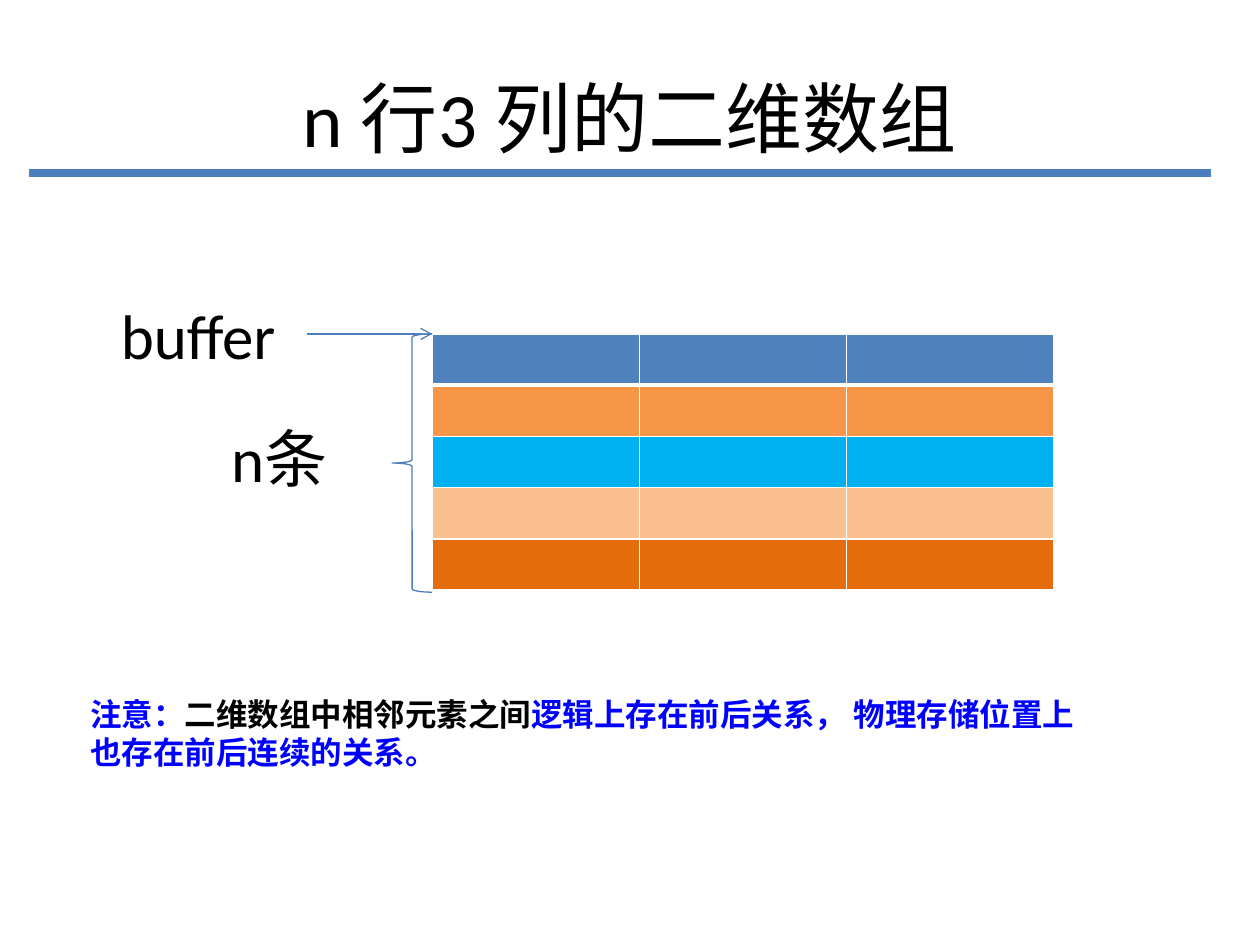
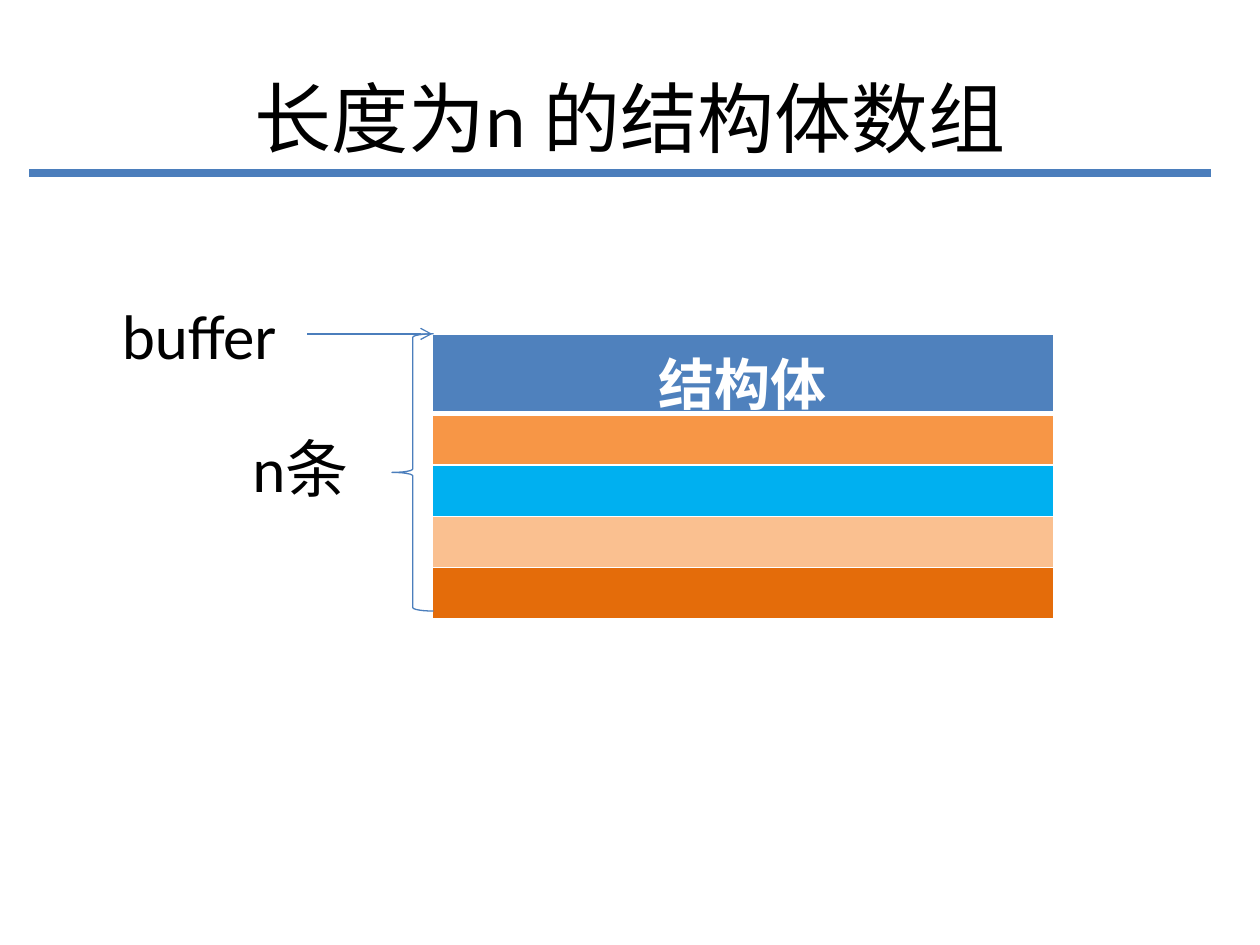
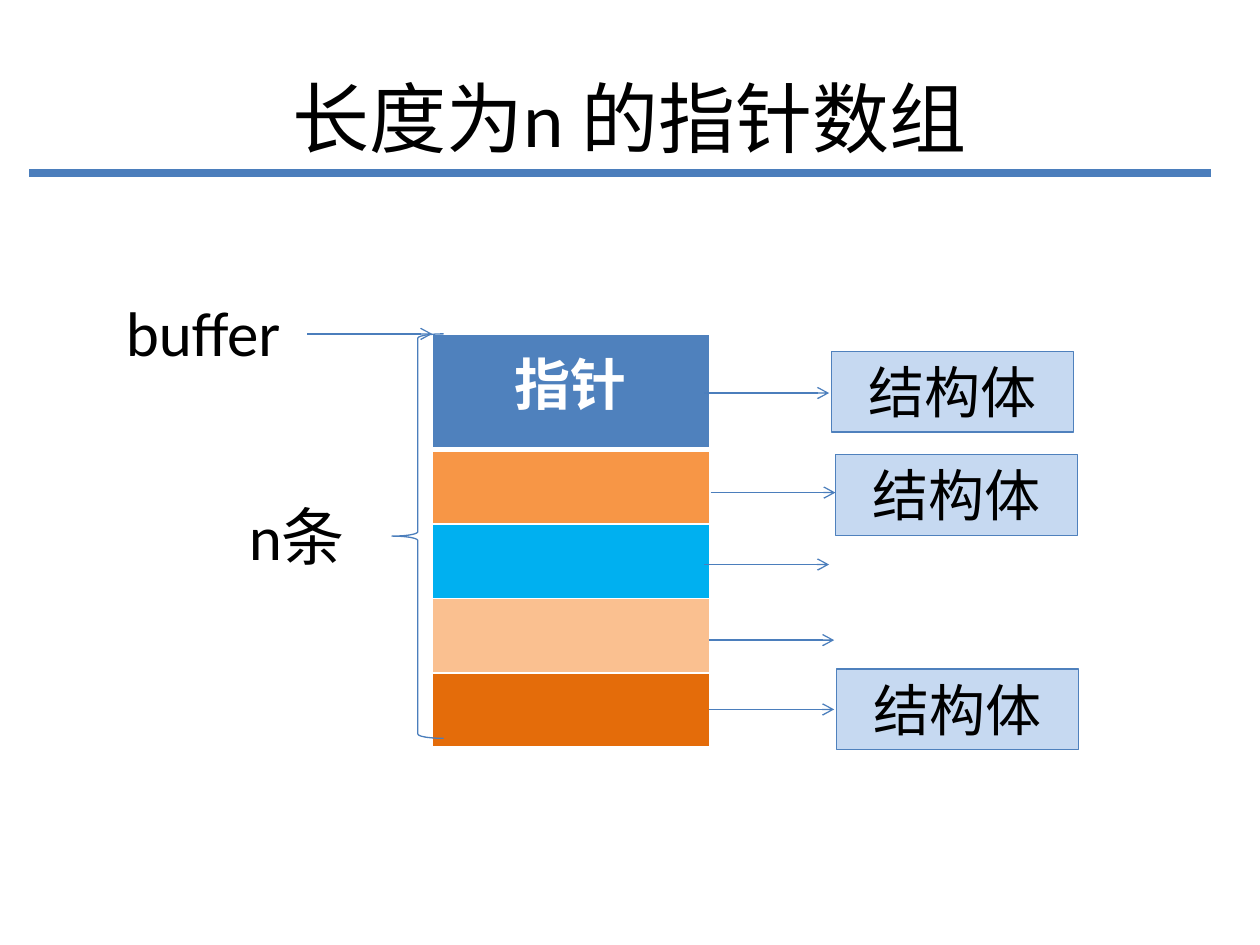
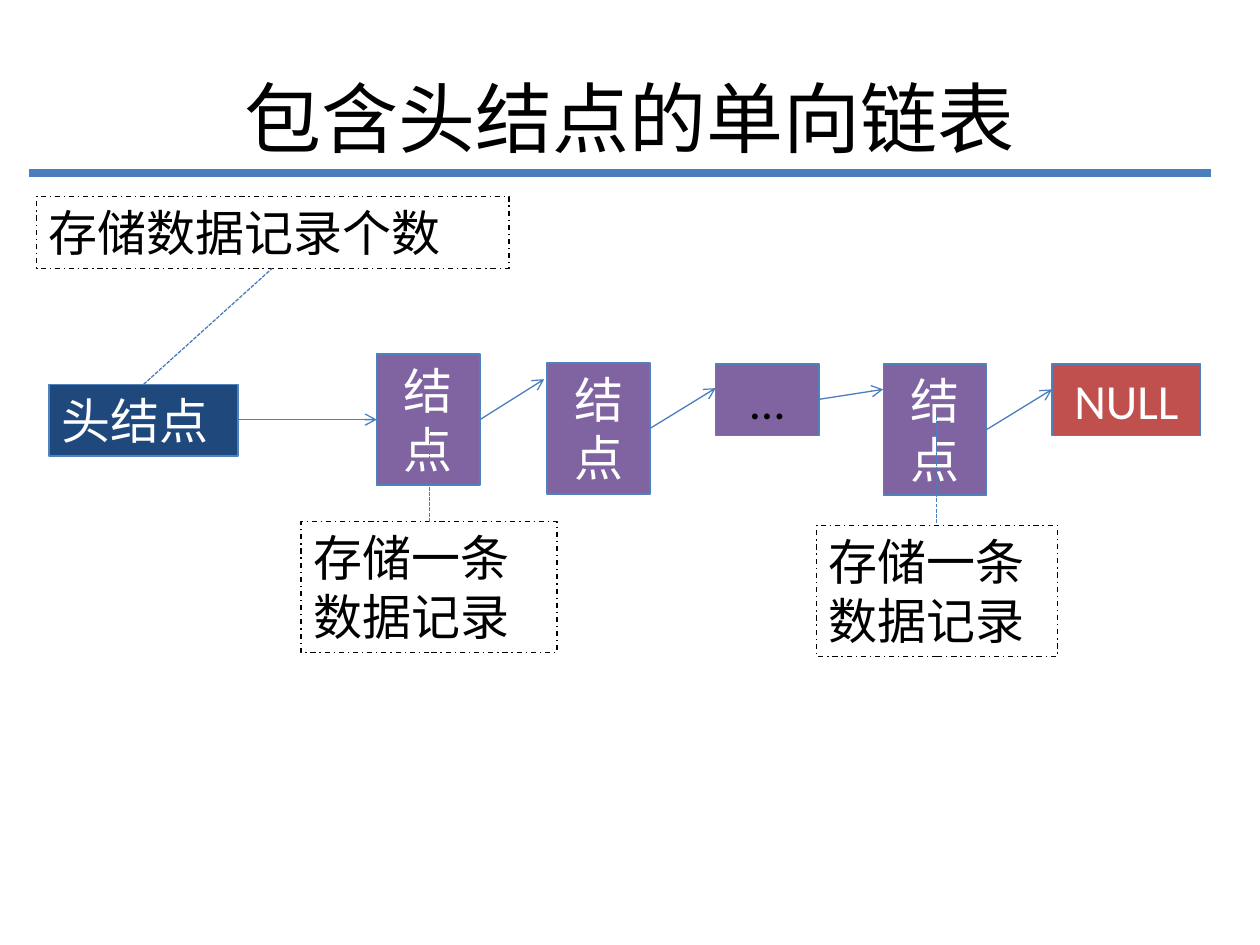
from lxml import etree
from pptx import Presentation
from pptx.dml.color import RGBColor
from pptx.enum import dml, shapes, text
from pptx.oxml import ns
from pptx.util import Pt

BLACK = RGBColor(0x00, 0x00, 0x00)
WHITE = RGBColor(0xFF, 0xFF, 0xFF)
NOTE_BLUE = RGBColor(0x00, 0x00, 0xFF)
LINE_BLUE = RGBColor(0x4B, 0x7E, 0xBC)
HEADER_BLUE = RGBColor(0x4F, 0x81, 0xBD)
PALE_BLUE = RGBColor(0xC6, 0xD9, 0xF1)
NAVY = RGBColor(0x1F, 0x49, 0x7D)
PURPLE = RGBColor(0x80, 0x64, 0xA2)
RED = RGBColor(0xC0, 0x50, 0x4D)
ORANGE = RGBColor(0xF7, 0x96, 0x46)
SKY = RGBColor(0x00, 0xB0, 0xF0)
PEACH = RGBColor(0xFA, 0xC0, 0x90)
RUST = RGBColor(0xE4, 0x6C, 0x0A)

FONT = "Calibri"
LEFT, CENTER = text.PP_ALIGN.LEFT, text.PP_ALIGN.CENTER
ROW_COLORS = [HEADER_BLUE, ORANGE, SKY, PEACH, RUST]
TABLE_LEFT, TABLE_TOP = 247, 190.8
BRACE_LEFT = 224
POINTER_LENGTH = 71.3

ARRAYS = [
    dict(title="n 行3 列的二维数组", header="", columns=3, width=354.96, rows=[29.3] * 5,
         buffer=(62, 165.6, 122.4, 51), count=(106.6, 236.2, 105.8, 51), brace=(23, 147.6)),
    dict(title="长度为n 的结构体数组", header="结构体", columns=1, width=354.96, rows=[29.3] * 5,
         buffer=(62.6, 165.6, 112.3, 51), count=(118.8, 241.9, 105.8, 51), brace=(23.8, 158.4)),
    dict(title="长度为n 的指针数组", header="指针", columns=1, width=158.4, rows=[66.2] + [42.5] * 4,
         buffer=(64.8, 164.2, 105.8, 51), count=(113.8, 280.8, 111.6, 51), brace=(29.5, 231.1)),
]
NOTE = [
    ("注意：", NOTE_BLUE),
    ("二维数组中相邻元素之间", BLACK),
    ("逻辑上存在前后关系， 物理存储位置上也存在前后连续的关系。", NOTE_BLUE),
]
POINTERS = [(402.5, 224.6), (406.1, 281.5), (402.5, 322.6), (405.4, 365.8), (405.4, 405.4)]
STRUCTURES = [(475.2, 200.9), (477.4, 259.9), (478.1, 382.3)]

LIST_TITLE = "包含头结点的单向链表"
NODE_WIDTH = 59
NODES = [
    ("结点", 215.3, 202.3, 74.9, WHITE, (274.3, 239.8, 311, 216.7)),
    ("结点", 312.5, 207.4, 74.9, WHITE, (371.5, 244.8, 409, 221.8)),
    ("…", 409, 208.1, 41, BLACK, (468, 228.2, 504.7, 222.5)),
    ("结点", 504.7, 208.1, 74.9, WHITE, (563.8, 245.5, 601.2, 222.5)),
]
ENDS = [
    ("NULL", (601.2, 208.1, 85, 41), RED, CENTER),
    ("头结点", (28.1, 219.6, 108, 41), NAVY, LEFT),
]
CALLOUTS = [
    ("存储数据记录个数", (20.9, 112.3, 270, 41), (82.1, 219.6, 155.5, 153.4)),
    ("存储一条数据记录", (172.1, 298.1, 146.2, 74.9), (245.5, 298.1, 245.5, 236.2)),
    ("存储一条数据记录", (466.6, 300.2, 137.5, 74.9), (535, 298.8, 535, 237.6)),
]


def points(values):
    return [Pt(value) for value in values]


def style_run(run, size, color, bold=False):
    run.font.name = FONT
    run.font.size = Pt(size)
    run.font.color.rgb = color
    run.font.bold = bold


def write(shape, runs, size, align=LEFT, bold=False, grow=True):
    frame = shape.text_frame
    frame.word_wrap = True
    frame.vertical_anchor = text.MSO_ANCHOR.TOP if grow else text.MSO_ANCHOR.MIDDLE
    if grow:
        frame.auto_size = text.MSO_AUTO_SIZE.SHAPE_TO_FIT_TEXT
    paragraph = frame.paragraphs[0]
    paragraph.alignment = align
    for words, color in runs:
        run = paragraph.add_run()
        run.text = words
        style_run(run, size, color, bold)


def add_label(slide, words, box, size, align=LEFT, grow=True):
    write(slide.shapes.add_textbox(*points(box)), [(words, BLACK)], size, align, grow=grow)


def add_line(parent, ends, width=0.75, arrow=False, dash=None):
    line = parent.add_connector(shapes.MSO_CONNECTOR.STRAIGHT, *points(ends))
    line.line.color.rgb = LINE_BLUE
    line.line.width = Pt(width)
    if dash:
        line.line.dash_style = dash
    properties = line._element.spPr
    if arrow:
        etree.SubElement(properties.find(ns.qn("a:ln")), ns.qn("a:tailEnd"), type="arrow")
    etree.SubElement(properties, ns.qn("a:effectLst"))


def add_outline(parent, kind, box, fill=None, line=HEADER_BLUE, dash=None):
    shape = parent.add_shape(kind, *points(box))
    shape.shadow.inherit = False
    if fill is None:
        shape.fill.background()
    else:
        shape.fill.solid()
        shape.fill.fore_color.rgb = fill
    shape.line.color.rgb = line
    shape.line.width = Pt(0.75)
    if dash:
        shape.line.dash_style = dash
    return shape


def add_box(parent, words, box, size, color=BLACK, align=CENTER, **look):
    shape = add_outline(parent, shapes.MSO_SHAPE.RECTANGLE, box, **look)
    write(shape, [(words, color)], size, align)


def set_borders(cell, widths):
    properties = cell._tc.get_or_add_tcPr()
    for side, width in zip("LRTB", widths):
        border = etree.SubElement(properties, ns.qn(f"a:ln{side}"), w=str(Pt(width)))
        fill = etree.SubElement(border, ns.qn("a:solidFill"))
        etree.SubElement(fill, ns.qn("a:srgbClr"), val=str(WHITE))


def add_array_table(slide, array):
    heights, columns = array["rows"], array["columns"]
    box = points((TABLE_LEFT, TABLE_TOP, array["width"], sum(heights)))
    table = slide.shapes.add_table(len(heights), columns, *box).table
    for column in table.columns:
        column.width = Pt(array["width"] / columns)
    for index, (height, color) in enumerate(zip(heights, ROW_COLORS)):
        table.rows[index].height = Pt(height)
        for cell in table.rows[index].cells:
            top, bottom = (3 if index == 1 else 1), (3 if index == 0 else 1)
            set_borders(cell, (1, 1, top, bottom))
            cell.fill.solid()
            cell.fill.fore_color.rgb = color
    if array["header"]:
        paragraph = table.cell(0, 0).text_frame.paragraphs[0]
        paragraph.text = array["header"]
        paragraph.alignment = CENTER
        style_run(paragraph.runs[0], 32, WHITE, True)


def add_titled_slide(title):
    slide = presentation.slides.add_slide(presentation.slide_layouts[6])
    add_label(slide, title, (36, 21.6, 648, 90), 44, CENTER, grow=False)
    add_line(slide.shapes, (16.8, 98.9, 691.9, 98.9), width=5)
    return slide


def add_array_slide(array):
    slide = add_titled_slide(array["title"])
    add_array_table(slide, array)
    add_label(slide, "buffer", array["buffer"], 36)
    add_line(slide.shapes, (175.7, TABLE_TOP, TABLE_LEFT, TABLE_TOP), arrow=True)
    add_outline(slide.shapes, shapes.MSO_SHAPE.LEFT_BRACE,
                (BRACE_LEFT, TABLE_TOP, *array["brace"]), line=LINE_BLUE)
    add_label(slide, "n条", array["count"], 36, CENTER)
    return slide


presentation = Presentation()
presentation.slide_width, presentation.slide_height = Pt(720), Pt(540)

grid_slide, structure_slide, pointer_slide = [add_array_slide(array) for array in ARRAYS]
write(grid_slide.shapes.add_textbox(*points((44.6, 393.8, 590.4, 51))), NOTE, 18, bold=True)

for left, top in POINTERS:
    add_line(pointer_slide.shapes, (left, top, left + POINTER_LENGTH, top), arrow=True)
for left, top in STRUCTURES:
    add_box(pointer_slide.shapes, "结构体", (left, top, 138.2, 46.1), 32, fill=PALE_BLUE)

list_slide = add_titled_slide(LIST_TITLE)
for words, left, top, height, color, arrow in NODES:
    group = list_slide.shapes.add_group_shape()
    add_box(group.shapes, words, (left, top, NODE_WIDTH, height), 28, color, fill=PURPLE)
    add_line(group.shapes, arrow, arrow=True)
for words, box, fill, align in ENDS:
    add_box(list_slide.shapes, words, box, 28, WHITE, align, fill=fill)
add_line(list_slide.shapes, (136.1, 239.8, 215.3, 239.8), arrow=True)
for words, box, leader in CALLOUTS:
    add_box(list_slide.shapes, words, box, 28, align=LEFT, line=BLACK,
            dash=dml.MSO_LINE.DASH_DOT)
    add_line(list_slide.shapes, leader, dash=dml.MSO_LINE.SQUARE_DOT)

presentation.save("out.pptx")
